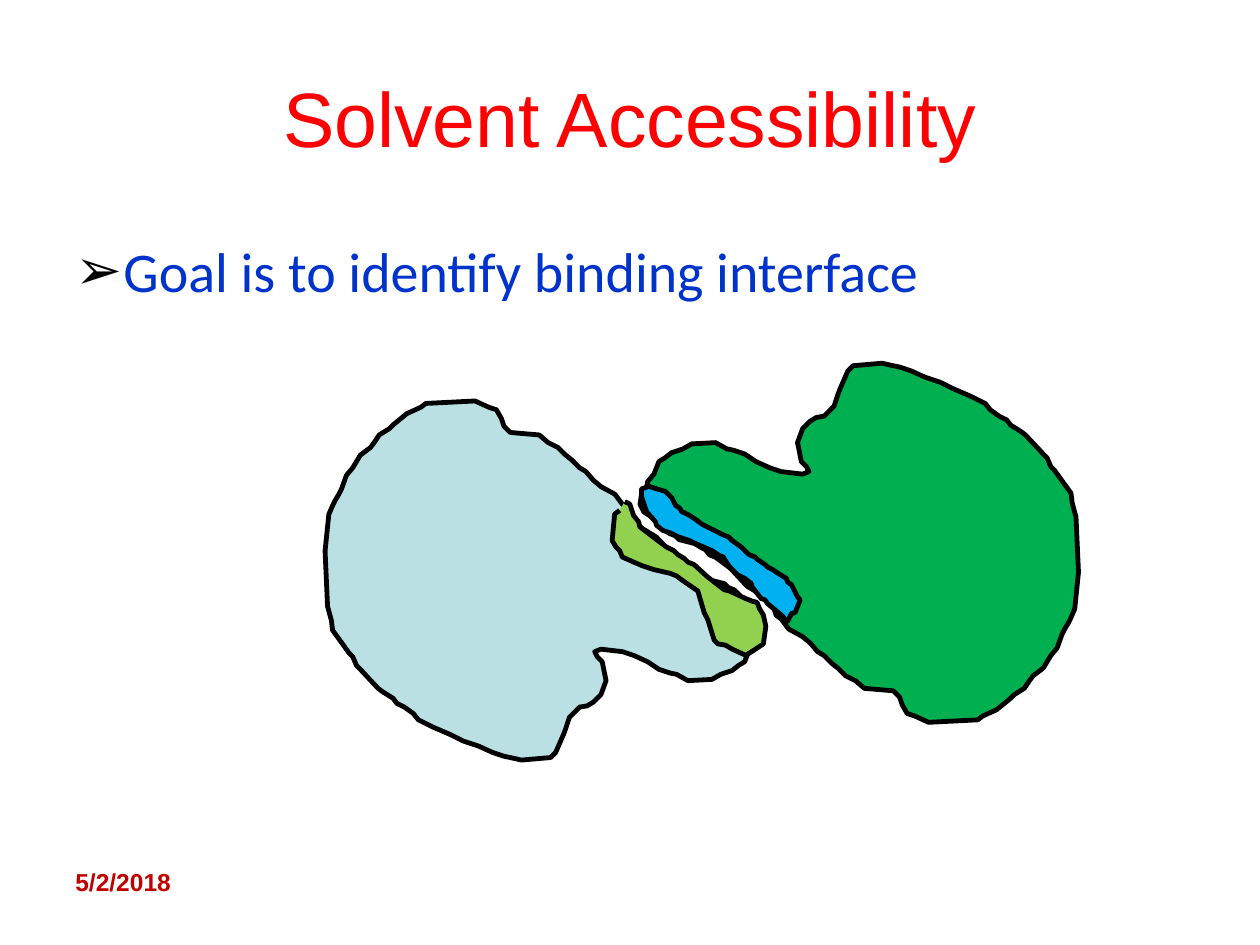
from dataclasses import dataclass

from lxml import etree
from pptx import Presentation
from pptx.dml.color import RGBColor
from pptx.enum.text import MSO_ANCHOR, PP_ALIGN
from pptx.oxml.ns import qn
from pptx.util import Inches, Pt

CENTER = PP_ALIGN.CENTER
LEFT = PP_ALIGN.LEFT
MIDDLE = MSO_ANCHOR.MIDDLE
TOP = MSO_ANCHOR.TOP

PAGE_WIDTH, PAGE_HEIGHT = Inches(10), Inches(7.5)
OUTLINE_UNIT = Inches(0.01)


@dataclass(frozen=True)
class Theme:
    heading_font: str = "Arial"
    body_font: str = "Calibri"
    title_size: int = 44
    body_size: int = 32
    date_size: int = 14
    title: str = "FF0000"
    body: str = "0033CC"
    bullet: str = "000000"
    date: str = "C00000"
    outline: str = "000000"
    outline_width: float = 2.75
    left_protein: str = "BBE0E3"
    right_protein: str = "00B050"
    left_interface: str = "92D050"
    right_interface: str = "00B0F0"


THEME = Theme()

PROTEIN = [
    (136, 8), (130, 6), (119, 1), (80, 3), (76, 6), (65, 11), (54, 20), (51, 23),
    (43, 28), (39, 34), (36, 38), (28, 44), (22, 54), (17, 60), (13, 71), (11, 75),
    (8, 80), (6, 84), (3, 91), (0, 120), (2, 164), (5, 175), (6, 183), (14, 194),
    (19, 201), (22, 204), (25, 211), (28, 214), (42, 229), (46, 232), (54, 237),
    (57, 241), (63, 244), (70, 249), (74, 254), (86, 260), (100, 266), (110, 271),
    (122, 275), (133, 280), (142, 283), (147, 284), (156, 286), (179, 284),
    (183, 280), (190, 264), (194, 252), (202, 244), (208, 243), (213, 240),
    (219, 234), (223, 223), (220, 208), (216, 204), (214, 200), (219, 198),
    (236, 200), (245, 203), (256, 208), (265, 214), (274, 217), (279, 218),
    (288, 223), (307, 222), (314, 218), (323, 215), (328, 211), (333, 208),
    (337, 198), (342, 192), (343, 186), (347, 181), (348, 174), (345, 168),
    (334, 161), (328, 154), (325, 151), (320, 149), (317, 146), (305, 143),
    (300, 140), (296, 138), (293, 134), (288, 132), (280, 126), (276, 123),
    (263, 109), (253, 103), (245, 97), (242, 92), (240, 86), (236, 83), (230, 75),
    (219, 69), (213, 64), (207, 57), (202, 54), (196, 48), (191, 44), (185, 38),
    (177, 34), (170, 28), (147, 26), (142, 21), (140, 15),
]
LEFT_INTERFACE = [
    (10, 0), (14, 2), (17, 11), (21, 16), (22, 20), (35, 30), (43, 36), (49, 39),
    (52, 42), (57, 45), (60, 48), (65, 50), (76, 60), (85, 67), (89, 70), (93, 71),
    (106, 77), (111, 79), (115, 80), (117, 85), (120, 90), (122, 99), (120, 113),
    (111, 119), (106, 122), (95, 117), (90, 114), (84, 113), (81, 110), (76, 94),
    (73, 88), (68, 71), (55, 62), (51, 59), (46, 57), (33, 54), (24, 51), (17, 48),
    (8, 44), (6, 39), (3, 36), (0, 31), (2, 10), (6, 7),
]
RIGHT_INTERFACE = [
    (116, 107), (114, 106), (112, 103), (106, 98), (100, 93), (98, 90), (95, 89),
    (88, 80), (87, 77), (82, 73), (76, 70), (70, 64), (66, 58), (65, 56), (62, 55),
    (56, 51), (49, 48), (42, 45), (38, 43), (32, 41), (29, 40), (23, 37), (17, 35),
    (12, 31), (11, 28), (4, 20), (2, 14), (0, 8), (0, 2), (6, 0), (12, 2), (19, 4),
    (24, 9), (27, 15), (30, 17), (32, 20), (38, 23), (44, 27), (48, 30), (50, 31),
    (54, 33), (64, 38), (66, 39), (69, 40), (72, 43), (79, 48), (82, 51), (85, 54),
    (90, 56), (92, 58), (98, 62), (100, 64), (104, 66), (110, 70), (115, 73),
    (116, 76), (119, 78), (124, 88), (126, 90), (122, 100), (119, 101),
]


def share(left, top, width, height):
    return (round(left * PAGE_WIDTH), round(top * PAGE_HEIGHT),
            round(width * PAGE_WIDTH), round(height * PAGE_HEIGHT))


def place(shape, box):
    shape.left, shape.top, shape.width, shape.height = box


def write(shape, text, font_name, size, color, align=LEFT, anchor=TOP, bold=False):
    frame = shape.text_frame
    frame.word_wrap = True
    frame.vertical_anchor = anchor
    para = frame.paragraphs[0]
    para.text = text
    para.alignment = align
    para.space_before = Pt(0)
    para.font.name = font_name
    para.font.size = Pt(size)
    para.font.bold = bold
    para.font.color.rgb = RGBColor.from_string(color)
    return para


def add_title(page, box):
    title = page.shapes.title
    place(title, box)
    write(title, "Solvent Accessibility", THEME.heading_font, THEME.title_size,
          THEME.title, CENTER, MIDDLE)


def add_goal(page, box):
    body = page.placeholders[1]
    place(body, box)
    props = body.text_frame.paragraphs[0]._p.get_or_add_pPr()
    props.set("marL", str(Inches(0.38)))
    props.set("indent", str(-Inches(0.38)))
    bullet_color = etree.SubElement(props, qn("a:buClr"))
    etree.SubElement(bullet_color, qn("a:srgbClr"), val=THEME.bullet)
    etree.SubElement(props, qn("a:buChar"), char="➢")
    write(body, "Goal is to identify binding interface", THEME.body_font,
          THEME.body_size, THEME.body)


def add_outline(page, points, left, top, color, closed=True, rotation=0):
    builder = page.shapes.build_freeform(*points[0], scale=OUTLINE_UNIT)
    builder.add_line_segments(points[1:], close=closed)
    shape = builder.convert_to_shape(left, top)
    shape.rotation = rotation
    shape.shadow.inherit = False
    shape.fill.solid()
    shape.fill.fore_color.rgb = RGBColor.from_string(color)
    shape.line.color.rgb = RGBColor.from_string(THEME.outline)
    shape.line.width = Pt(THEME.outline_width)
    etree.SubElement(shape.line._ln, qn("a:round"))


def add_binding_diagram(page, box):
    left, top, width, height = box
    parts = [
        (PROTEIN, 0, 0.095, THEME.left_protein, True, 0),
        (PROTEIN, 0.418, 0, THEME.right_protein, True, 180),
        (LEFT_INTERFACE, 0.381, 0.351, THEME.left_interface, False, 0),
        (RIGHT_INTERFACE, 0.42, 0.313, THEME.right_interface, True, 0),
    ]
    for points, across, down, color, closed, rotation in parts:
        add_outline(page, points, round(left + across * width),
                    round(top + down * height), color, closed, rotation)


def add_date(page, box):
    date = page.shapes.add_textbox(*box)
    write(date, "5/2/2018", THEME.heading_font, THEME.date_size, THEME.date, bold=True)


def main():
    deck = Presentation()
    deck.slide_width, deck.slide_height = PAGE_WIDTH, PAGE_HEIGHT
    page = deck.slides.add_slide(deck.slide_layouts[1])
    add_title(page, share(0.05, 0.04, 0.9, 0.167))
    add_goal(page, share(0.05, 0.244, 0.9, 0.66))
    add_binding_diagram(page, share(0.258, 0.383, 0.598, 0.421))
    add_date(page, share(0.05, 0.911, 0.233, 0.069))
    deck.save("out.pptx")


if __name__ == "__main__":
    main()
